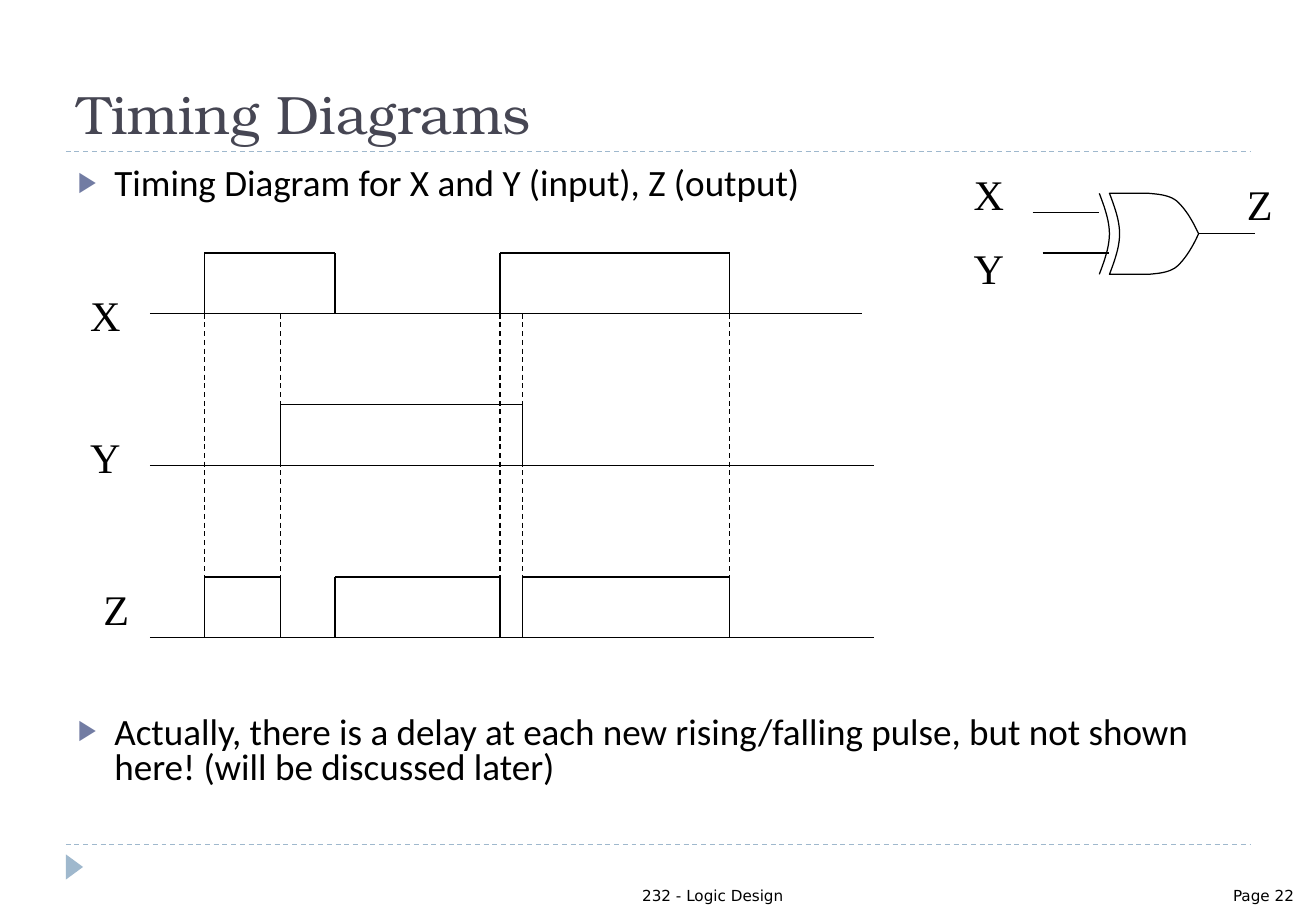
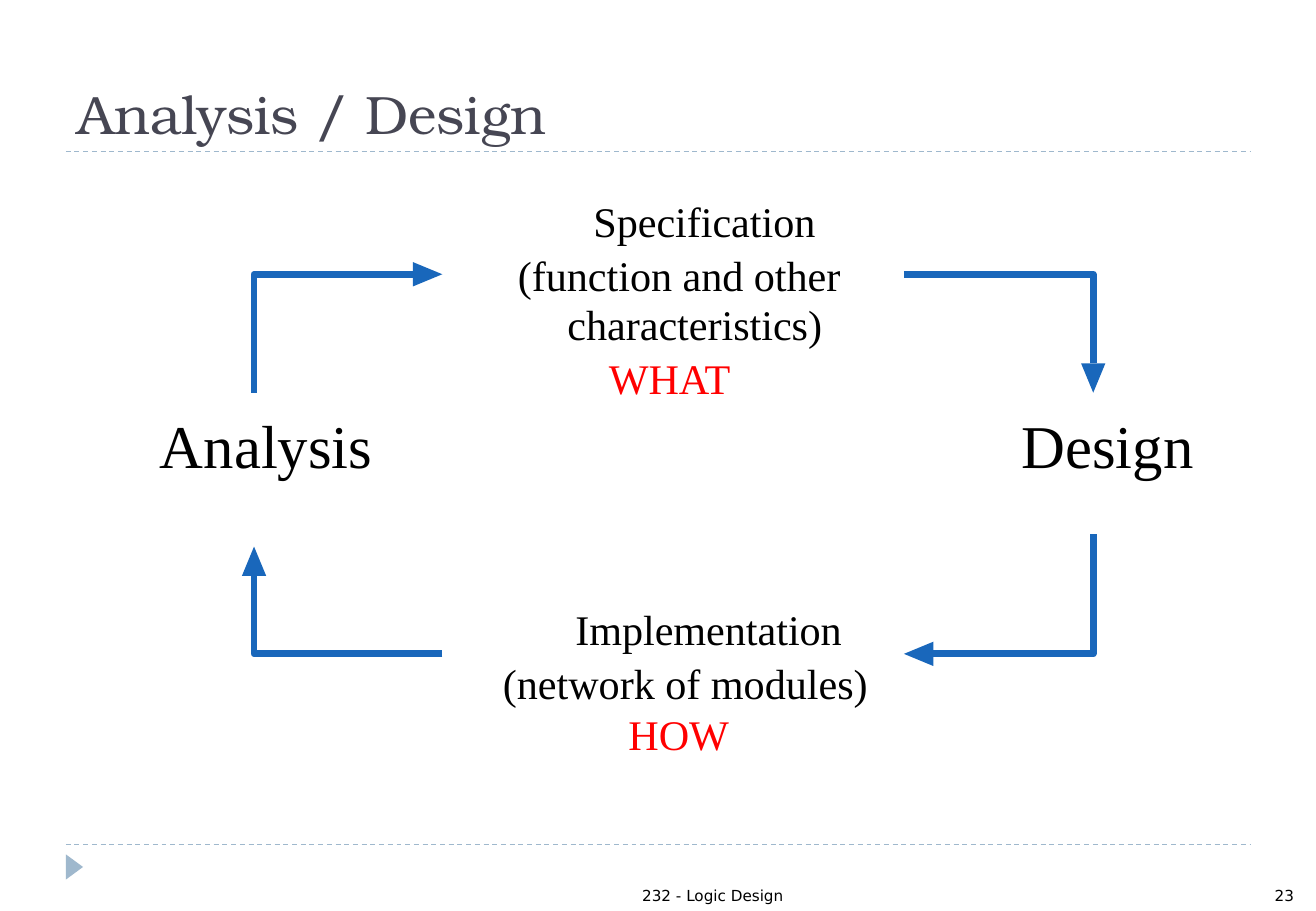
from dataclasses import dataclass

from lxml import etree
from pptx import Presentation
from pptx import util as u
from pptx.dml import color
from pptx.enum import dml, shapes, text
from pptx.oxml import ns

PX = 7620  # EMU per px, 120 px to the inch
HUE = {"ink": "000000", "title": "464653", "band": "9FB8CD",
       "mark": "727CA3", "arrow": "1967BB", "key": "FF0000"}
SERIF, SANS = "Times New Roman", "DejaVu Sans"
LEFT, MID, RIGHT = text.PP_ALIGN.LEFT, text.PP_ALIGN.CENTER, text.PP_ALIGN.RIGHT
TOP, BASE = text.MSO_ANCHOR.TOP, text.MSO_ANCHOR.BOTTOM
Point = tuple[float, float]
Box = tuple[int, int, int, int]


@dataclass
class Line:
    words: str
    space: float | None = None  # exact line height, points
    shift: int = 0              # left margin, px
    before: float = 0           # space above, points


@dataclass
class Label:
    box: Box
    lines: list[Line]
    size: float = 25
    hue: str = "ink"
    face: str = SERIF
    align: text.PP_ALIGN = MID
    anchor: text.MSO_ANCHOR = TOP
    side: int = 12
    top: int = 6


@dataclass
class Wave:
    low: int
    end: int
    spans: list[tuple[int, int]]


# Shared helpers
def rgb(hue: str) -> color.RGBColor:
    return color.RGBColor.from_string(HUE[hue])


def style(para, face: str, size: float, hue: str, align=LEFT) -> None:
    para.alignment = align
    font = para.font
    font.name, font.size = face, u.Pt(size)
    font.color.rgb = rgb(hue)


def place(shape, box: Box) -> None:
    shape.left, shape.top, shape.width, shape.height = (n * PX for n in box)


def rule(slide, a: Point, b: Point, hue: str = "ink", dash: bool = False) -> None:
    line = slide.shapes.add_connector(
        shapes.MSO_CONNECTOR.STRAIGHT, *(n * PX for n in a + b))
    line.line.color.rgb = rgb(hue)
    line.line.width = u.Pt(0.75)
    if dash:
        line.line.dash_style = dml.MSO_LINE.DASH
    etree.SubElement(line.element.spPr, ns.qn("a:effectLst"))


def trace(slide, pts: list[Point], hue: str, width: float = 0,
          shut: bool = False, fill: bool = False) -> None:
    dots = [(round(x * PX), round(y * PX)) for x, y in pts]
    form = slide.shapes.build_freeform(*dots[0])
    form.add_line_segments(dots[1:], close=shut)
    shape = form.convert_to_shape()
    shape.shadow.inherit = False
    if fill:
        shape.fill.solid()
        shape.fill.fore_color.rgb = rgb(hue)
    else:
        shape.fill.background()
    if width:
        shape.line.color.rgb = rgb(hue)
        shape.line.width = u.Pt(width)
    else:
        shape.line.fill.background()


def write(slide, label: Label) -> None:
    frame = slide.shapes.add_textbox(*(n * PX for n in label.box)).text_frame
    frame.word_wrap = True
    frame.vertical_anchor = label.anchor
    frame.margin_left = frame.margin_right = label.side * PX
    frame.margin_top, frame.margin_bottom = label.top * PX, 6 * PX
    for i, line in enumerate(label.lines):
        para = frame.add_paragraph() if i else frame.paragraphs[0]
        para.text = line.words
        if line.space:
            para.line_spacing = u.Pt(line.space)
        if line.before:
            para.space_before = u.Pt(line.before)
        if line.shift:
            para._p.get_or_add_pPr().set("marL", str(line.shift * PX))
        style(para, label.face, label.size, label.hue, label.align)


def start(deck, layout: int, title: str, page: str):
    """Add a slide with its title, bands and footer."""
    slide = deck.slides.add_slide(deck.slide_layouts[layout])
    for y in (834, 150):
        rule(slide, (65, y), (1235, y), "band", True)
    mark = slide.shapes.add_shape(shapes.MSO_SHAPE.ISOSCELES_TRIANGLE, 0, 0, 0, 0)
    place(mark, (61, 848, 25, 17))
    mark.rotation = 90
    mark.shadow.inherit = False
    mark.fill.solid()
    mark.fill.fore_color.rgb = rgb("band")
    mark.line.fill.background()
    head = slide.shapes.title
    place(head, (65, 20, 1170, 130))
    frame = head.text_frame
    frame.text = title
    frame.auto_size = text.MSO_AUTO_SIZE.NONE
    frame.vertical_anchor = BASE
    style(frame.paragraphs[0], "TeX Gyre Bonum", 32, "title")
    for box, words, align in (((498, 870, 412, 30), "232 - Logic Design", MID),
                              ((1171, 870, 119, 30), page, RIGHT)):
        write(slide, Label(box, [Line(words)], 9, "ink", SANS, align, BASE))
    return slide


def bullet(para, words: str, before: float) -> None:
    para.text = words
    para.line_spacing, para.space_before = 0.8, u.Pt(before)
    props = para._p.get_or_add_pPr()
    props.set("marL", str(36 * PX))
    props.set("indent", str(-36 * PX))
    tint = etree.SubElement(props, ns.qn("a:buClr"))
    etree.SubElement(tint, ns.qn("a:srgbClr")).set("val", HUE["mark"])
    etree.SubElement(props, ns.qn("a:buSzPct")).set("val", "76000")
    etree.SubElement(props, ns.qn("a:buChar")).set("char", "▶")
    style(para, "Calibri", 22, "ink")


def curve(a: Point, b: Point, c: Point, d: Point, steps: int = 12) -> list[Point]:
    """Sample a cubic curve."""
    out = []
    for i in range(steps + 1):
        t = i / steps
        s = 1 - t
        mix = (s ** 3, 3 * s * s * t, 3 * s * t * t, t ** 3)
        out.append((sum(m * p[0] for m, p in zip(mix, (a, b, c, d))),
                    sum(m * p[1] for m, p in zip(mix, (a, b, c, d)))))
    return out


def mirror(pts: list[Point], axis: int = 231) -> list[Point]:
    """Add the lower half, reflected about the axis."""
    return pts + [(x, 2 * axis - y) for x, y in reversed(pts[:-1])]


def gate(slide) -> None:
    back = mirror(curve((1086, 191), (1091, 204), (1096, 218), (1096, 231)))
    nose = mirror(curve((1135, 191), (1146, 192), (1157, 193), (1164, 200))
                  + curve((1164, 200), (1172, 208), (1178, 218), (1184, 231))[1:])
    inner = [(x + 10, y) for x, y in back]
    trace(slide, back, "ink", 0.75)
    trace(slide, nose + inner[::-1], "ink", 0.75, shut=True)
    for x, y, end in ((1184, 231, 1240), (1020, 210, 1086), (1030, 250, 1096)):
        rule(slide, (x, y), (end, y))
    write(slide, Label((950, 160, 58, 140), [Line("X"), Line("Y", before=14)],
                       align=LEFT))
    write(slide, Label((1220, 170, 60, 64), [Line("Z")], align=LEFT))


def timing(deck) -> None:
    slide = start(deck, 1, "Timing Diagrams", "Page 22")
    body = slide.placeholders[1]
    place(body, (65, 160, 1170, 644))
    frame = body.text_frame
    frame.auto_size = text.MSO_AUTO_SIZE.NONE
    bullet(frame.paragraphs[0], "Timing Diagram for X and Y (input), Z (output)", 6)
    bullet(frame.add_paragraph(), "Actually, there is a delay at each new "
           "rising/falling pulse, but not shown here! (will be discussed later)", 304)

    # Signals: x of each edge, then pulses between edges
    a, b, c, d, e, f = 202, 277, 331, 494, 516, 721
    rise = 60
    for wave in (Wave(310, 852, [(a, c), (d, f)]),
                 Wave(460, 863, [(b, e)]),
                 Wave(630, 863, [(a, b), (c, d), (e, f)])):
        low, high = wave.low, wave.low - rise
        rule(slide, (148, low), (wave.end, low))
        for on, off in wave.spans:
            rule(slide, (on, high), (off, high))
            for x in (on, off):
                rule(slide, (x, high), (x, low))
    for x in (a, b, d, e, f):
        rule(slide, (x, 310), (x, 570 if x == b else 580), dash=True)
    for name, box in (("X", (61, 280, 86, 64)), ("Y", (50, 420, 108, 64)),
                      ("Z", (72, 570, 86, 64))):
        write(slide, Label(box, [Line(name)]))
    gate(slide)


def elbow(slide, a: Point, b: Point, tip: Point) -> None:
    """Draw a bent arrow whose head ends at tip."""
    span = abs(tip[0] - b[0]) + abs(tip[1] - b[1])
    dx, dy = (tip[0] - b[0]) / span, (tip[1] - b[1]) / span
    neck = (tip[0] - 29 * dx, tip[1] - 29 * dy)
    wings = [(neck[0] + k * dy, neck[1] + k * dx) for k in (12, -12)]
    trace(slide, [a, b, neck], "arrow", 4)
    trace(slide, [tip, *wings], "arrow", shut=True, fill=True)


def cycle(deck) -> None:
    slide = start(deck, 5, "Analysis / Design", "23")
    west, east, north, south = 251, 1080, 271, 646
    near, far = 437, 893
    for path in (((west, 388), (west, north), (near, north)),
                 ((far, north), (east, north), (east, 388)),
                 ((near, south), (west, south), (west, 540)),
                 ((east, 528), (east, south), (far, south))):
        elbow(slide, *path)

    # Stages
    for box, lines, size in (
            ((156, 437, 214, 50), [Line("Analysis", 23)], 36),
            ((1008, 437, 172, 50), [Line("Design", 23)], 36),
            ((498, 205, 346, 140), [Line("Specification", 23, 50),
                                    Line("(function and other", 32),
                                    Line("characteristics)", 29, 31)], 25),
            ((484, 608, 386, 91), [Line("Implementation", 23, 46),
                                   Line("(network of modules)", 32)], 25)):
        write(slide, Label(box, lines, size, side=0, top=0))
    for words, box in (("WHAT", (589, 342, 145, 62)), ("HOW", (608, 694, 125, 62))):
        write(slide, Label(box, [Line(words)], hue="key", side=0))


def main() -> None:
    deck = Presentation()
    deck.slide_width, deck.slide_height = 1300 * PX, 900 * PX
    timing(deck)
    cycle(deck)
    deck.save("out.pptx")


if __name__ == "__main__":
    main()
